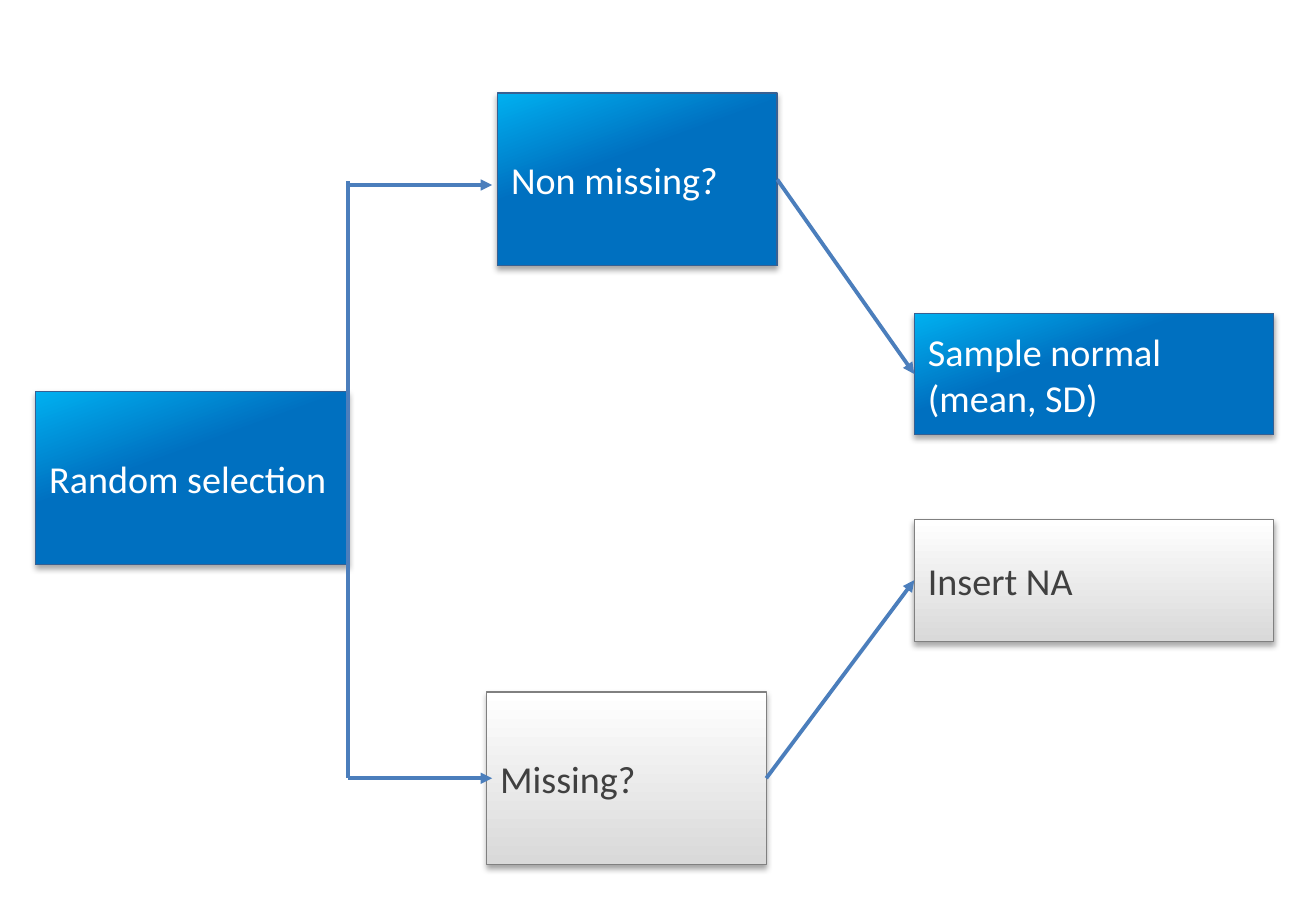
from lxml import etree
from pptx import Presentation
from pptx.dml.color import RGBColor
from pptx.enum.shapes import MSO_CONNECTOR, MSO_SHAPE
from pptx.enum.text import MSO_ANCHOR, PP_ALIGN
from pptx.oxml import parse_xml
from pptx.oxml.ns import nsdecls, qn
from pptx.util import Pt

PX = 9144  # EMU per px, 100 px to the inch
RECT = MSO_SHAPE.RECTANGLE
STRAIGHT = MSO_CONNECTOR.STRAIGHT
MIDDLE = MSO_ANCHOR.MIDDLE
LEFT = PP_ALIGN.LEFT
LEFT_SIDE, RIGHT_SIDE = 1, 3

SKY = RGBColor(0x00, 0xB0, 0xF0)
BLUE = RGBColor(0x00, 0x70, 0xC0)
NAVY = RGBColor(0x37, 0x60, 0x92)
ARROW = RGBColor(0x4B, 0x7E, 0xBC)
WHITE = RGBColor(0xFF, 0xFF, 0xFF)
SILVER = RGBColor(0xD9, 0xD9, 0xD9)
GRAY = RGBColor(0x80, 0x80, 0x80)
DARK = RGBColor(0x40, 0x40, 0x40)

# Box styles: gradient stops, counter-clockwise angle, outline, text colour
ACTIVE = ([(0, SKY), (40, BLUE), (99, BLUE)], 290, NAVY, WHITE)
MISSING = ([(0, SILVER), (100, WHITE)], 90, GRAY, DARK)

SHADOW = (
    f'<a:effectLst {nsdecls("a")}><a:outerShdw blurRad="39370" dist="22860" '
    'dir="5400000" rotWithShape="0"><a:srgbClr val="000000">'
    '<a:alpha val="35000"/></a:srgbClr></a:outerShdw></a:effectLst>'
)

prs = Presentation()
prs.slide_width, prs.slide_height = 960 * PX, 670 * PX
slide = prs.slides.add_slide(prs.slide_layouts[6])


def add_box(text, style, x, y, w, h):
    stops, angle, outline, color = style
    s = slide.shapes.add_shape(RECT, x * PX, y * PX, w * PX, h * PX)
    s.fill.gradient()
    s.fill.gradient_angle = angle
    gs_list = s.fill._xPr.find(qn("a:gradFill")).find(qn("a:gsLst"))
    for gs in list(gs_list):
        gs_list.remove(gs)
    for pos, stop_color in stops:
        gs = etree.SubElement(gs_list, qn("a:gs"), pos=str(pos * 1000))
        etree.SubElement(gs, qn("a:srgbClr"), val=str(stop_color))
    s.line.color.rgb = outline
    s.line.width = Pt(0.75)
    s._element.spPr.append(parse_xml(SHADOW))
    tf = s.text_frame
    tf.word_wrap = True
    tf.vertical_anchor = MIDDLE
    p = tf.paragraphs[0]
    p.alignment = LEFT
    r = p.add_run()
    r.text = text
    r.font.name = "Calibri"
    r.font.size = Pt(20)
    r.font.color.rgb = color
    return s


def add_line(x1, y1, x2, y2, arrow=True):
    c = slide.shapes.add_connector(STRAIGHT, x1 * PX, y1 * PX, x2 * PX, y2 * PX)
    c.line.color.rgb = ARROW
    c.line.width = Pt(2)
    if arrow:
        etree.SubElement(c.line._get_or_add_ln(), qn("a:tailEnd"), type="triangle")
    etree.SubElement(c._element.spPr, qn("a:effectLst"))
    return c


# Boxes
selection = add_box("Random selection", ACTIVE, 26, 286, 228, 126)
insert_na = add_box("Insert NA", MISSING, 667, 379, 262, 89)
non_missing = add_box("Non missing?", ACTIVE, 363, 68, 204, 126)
sample = add_box("Sample normal (mean, SD)", ACTIVE, 667, 229, 262, 88)
missing = add_box("Missing?", MISSING, 355, 505, 204, 126)

# Branches: a trunk from the selection box, then an arrow to each question
for trunk_end, arrow_y in ((132, 135), (568, 568)):
    trunk = add_line(254, 349, 254, trunk_end, arrow=False)
    trunk.begin_connect(selection, RIGHT_SIDE)
    add_line(254, arrow_y, 359, arrow_y)

# Arrows from each question to its outcome
for question, outcome in ((non_missing, sample), (missing, insert_na)):
    c = add_line(567, 131, 667, 273)
    c.begin_connect(question, RIGHT_SIDE)
    c.end_connect(outcome, LEFT_SIDE)

prs.save("out.pptx")
